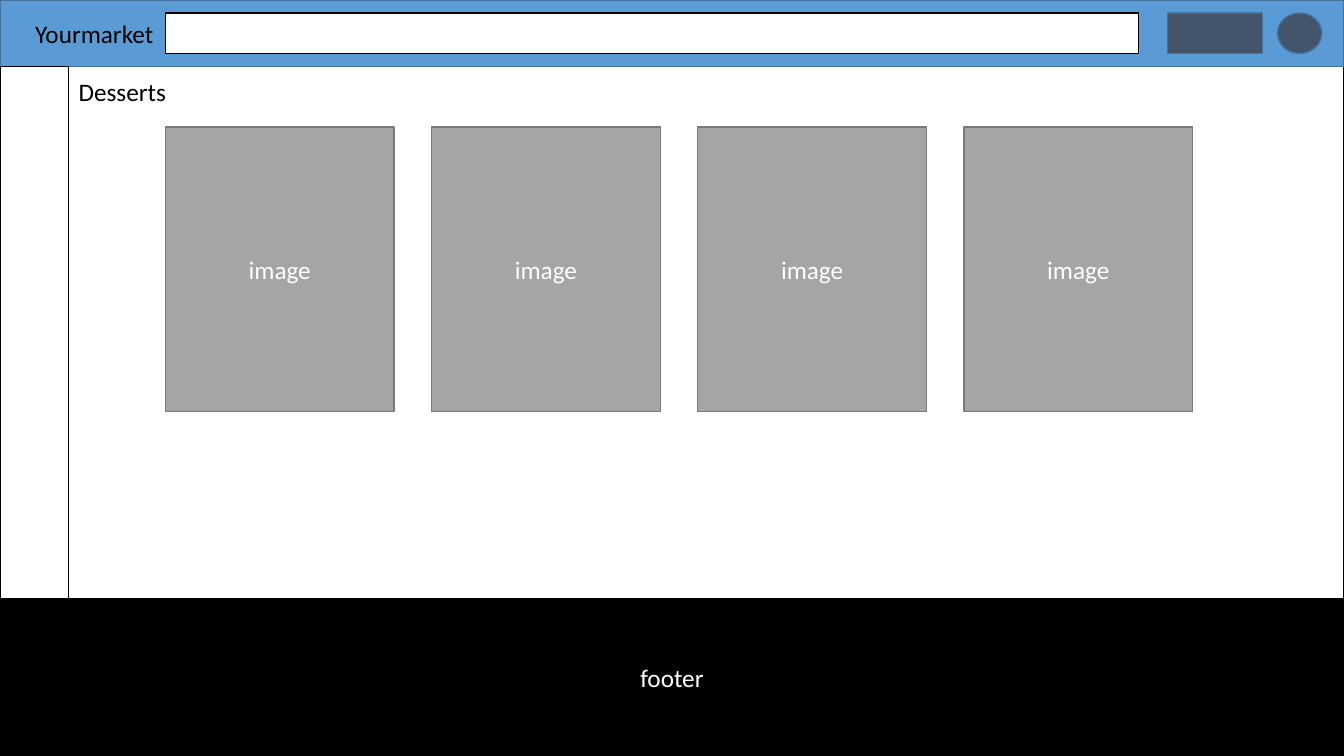
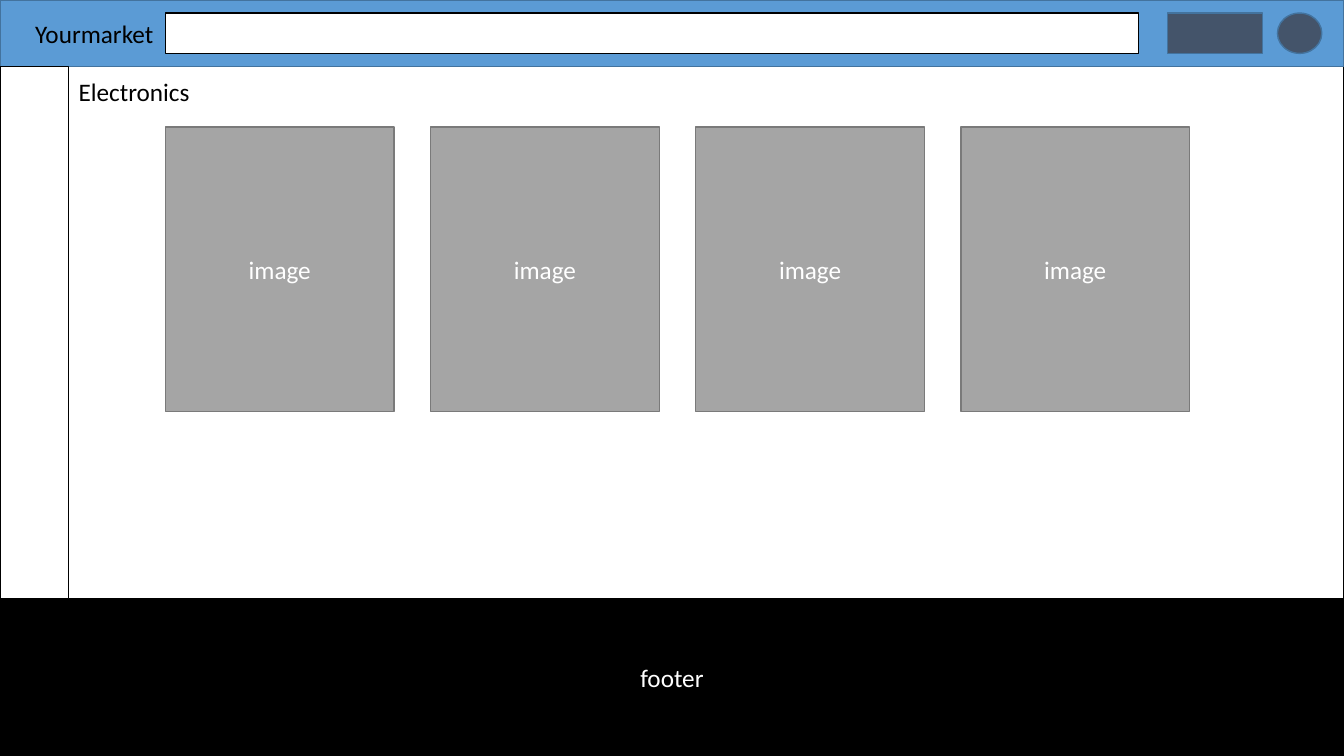
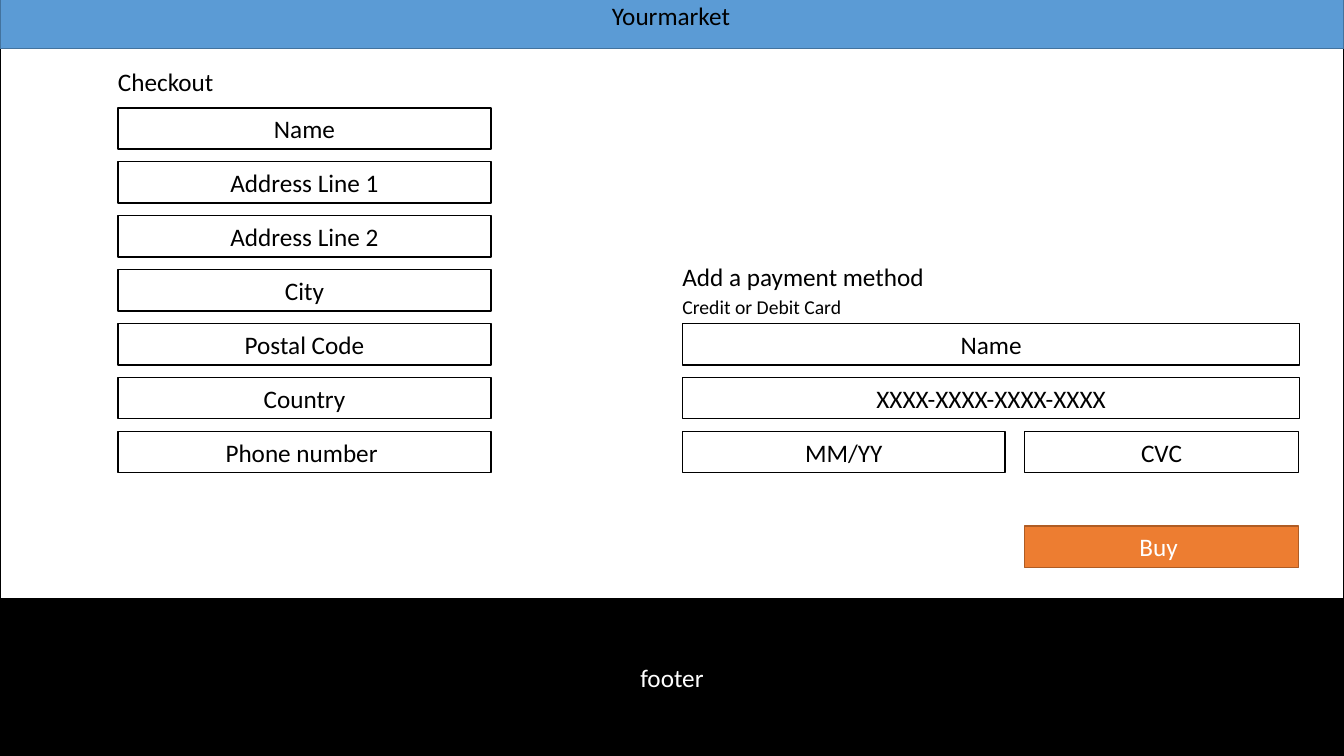
from pptx import Presentation
from pptx.dml.color import RGBColor
from pptx.enum.shapes import MSO_SHAPE
from pptx.enum.text import MSO_ANCHOR, MSO_AUTO_SIZE, PP_ALIGN
from pptx.util import Inches, Pt

RECT, OVAL = MSO_SHAPE.RECTANGLE, MSO_SHAPE.OVAL
TOP, MIDDLE = MSO_ANCHOR.TOP, MSO_ANCHOR.MIDDLE
LEFT, CENTER = PP_ALIGN.LEFT, PP_ALIGN.CENTER
FIT = MSO_AUTO_SIZE.SHAPE_TO_FIT_TEXT

FONT = "Calibri"
COLORS = {
    "white": "FFFFFF", "black": "000000",
    "header": "5B9BD5", "header_line": "43739E", "button": "44546A",
    "card": "A5A5A5", "card_line": "7A7A7A",
    "buy": "ED7D31", "buy_line": "AF5C24",
}
WIDTH, HEIGHT = 13.33, 7.5
HEADER_H, FOOTER_TOP = 0.66, 5.94


def write(shape, text, color, align, anchor, size=18):
    frame = shape.text_frame
    frame.text = text
    frame.vertical_anchor = anchor
    paragraph = frame.paragraphs[0]
    paragraph.alignment = align
    paragraph.font.name = FONT
    paragraph.font.size = Pt(size)
    paragraph.font.color.rgb = RGBColor.from_string(COLORS[color])
    return frame


def add_box(slide, bounds, fill, line, text="", color="black", kind=RECT):
    box = slide.shapes.add_shape(kind, *map(Inches, bounds))
    box.shadow.inherit = False
    box.fill.solid()
    box.fill.fore_color.rgb = RGBColor.from_string(COLORS[fill])
    box.line.color.rgb = RGBColor.from_string(COLORS[line])
    box.line.width = Pt(1)
    if text:
        write(box, text, color, CENTER, MIDDLE)


prs = Presentation()
prs.slide_width, prs.slide_height = Inches(WIDTH), Inches(HEIGHT)
title_only = prs.slide_layouts[5]

pages = [
    ("Desserts", (0.68, 0.71, 4.92, 0.4), 0.13, 0, 0.25),
    ("Electronics", (0.68, 0.71, 4.92, 0.4), 0, 0, 0.25),
    ("Checkout", (1.07, 0.61, 1.16, 0.4), -0.18, -0.18, 5.97),
]
for heading, heading_bounds, page_top, header_top, brand_left in pages:
    slide = prs.slides.add_slide(title_only)
    add_box(slide, (0, page_top, WIDTH, HEIGHT), "white", "black")
    add_box(slide, (0, header_top, WIDTH, HEADER_H), "header", "header_line")
    add_box(slide, (0, FOOTER_TOP, WIDTH, HEIGHT - FOOTER_TOP),
            "black", "black", "footer", "white")

    labels = [("Yourmarket", (brand_left, header_top + 0.13, 1.38, 0.4), 18)]
    if heading == "Checkout":
        labels += [
            ("Add a payment method", (6.67, 2.54, 2.63, 0.4), 18),
            ("Credit or Debit Card", (6.67, 2.88, 1.79, 0.34), 14),
        ]
    for text, bounds, size in labels:
        label = slide.shapes.add_textbox(*map(Inches, bounds))
        frame = write(label, text, "black", LEFT, TOP, size)
        frame.word_wrap = False
        frame.auto_size = FIT

    title = slide.shapes.title
    title.left, title.top, title.width, title.height = map(Inches, heading_bounds)
    title_frame = write(title, heading, "black", LEFT, TOP)
    title_frame.word_wrap = heading != "Checkout"
    title_frame.auto_size = FIT
    title.element.getparent().append(title.element)

card_pitches = [2.64, 2.63]
for slide, card_pitch in zip(prs.slides, card_pitches):
    add_box(slide, (1.64, 0.13, 9.65, 0.4), "white", "black")
    add_box(slide, (12.67, 0.13, 0.44, 0.4), "button", "header_line", kind=OVAL)
    add_box(slide, (11.58, 0.13, 0.94, 0.4), "button", "header_line")
    add_box(slide, (0, HEADER_H, 0.68, FOOTER_TOP - HEADER_H), "white", "black")
    for column in range(4):
        add_box(slide, (1.64 + column * card_pitch, 1.26, 2.27, 2.82),
                "card", "card_line", "image", "white")

checkout = prs.slides[2]
address_fields = ["Name", "Address Line 1", "Address Line 2", "City",
                  "Postal Code", "Country", "Phone number "]
FIELD_H = 0.41
first_row, last_row = 1.07, 4.28
row_pitch = (last_row - first_row) / (len(address_fields) - 1)
row_tops = [first_row + row * row_pitch for row in range(len(address_fields))]
for text, top in zip(address_fields, row_tops):
    add_box(checkout, (1.17, top, 3.7, FIELD_H), "white", "black", text)

card_fields = [
    ("Name", 6.77, 4, 6.12),
    ("XXXX-XXXX-XXXX-XXXX", 6.77, 5, 6.12),
    ("MM/YY", 6.77, 6, 3.2),
    ("CVC", 10.16, 6, 2.72),
]
for text, left, row, width in card_fields:
    add_box(checkout, (left, row_tops[row], width, FIELD_H), "white", "black", text)
add_box(checkout, (10.16, 5.22, 2.72, FIELD_H), "buy", "buy_line", "Buy ", "white")

prs.save("out.pptx")
